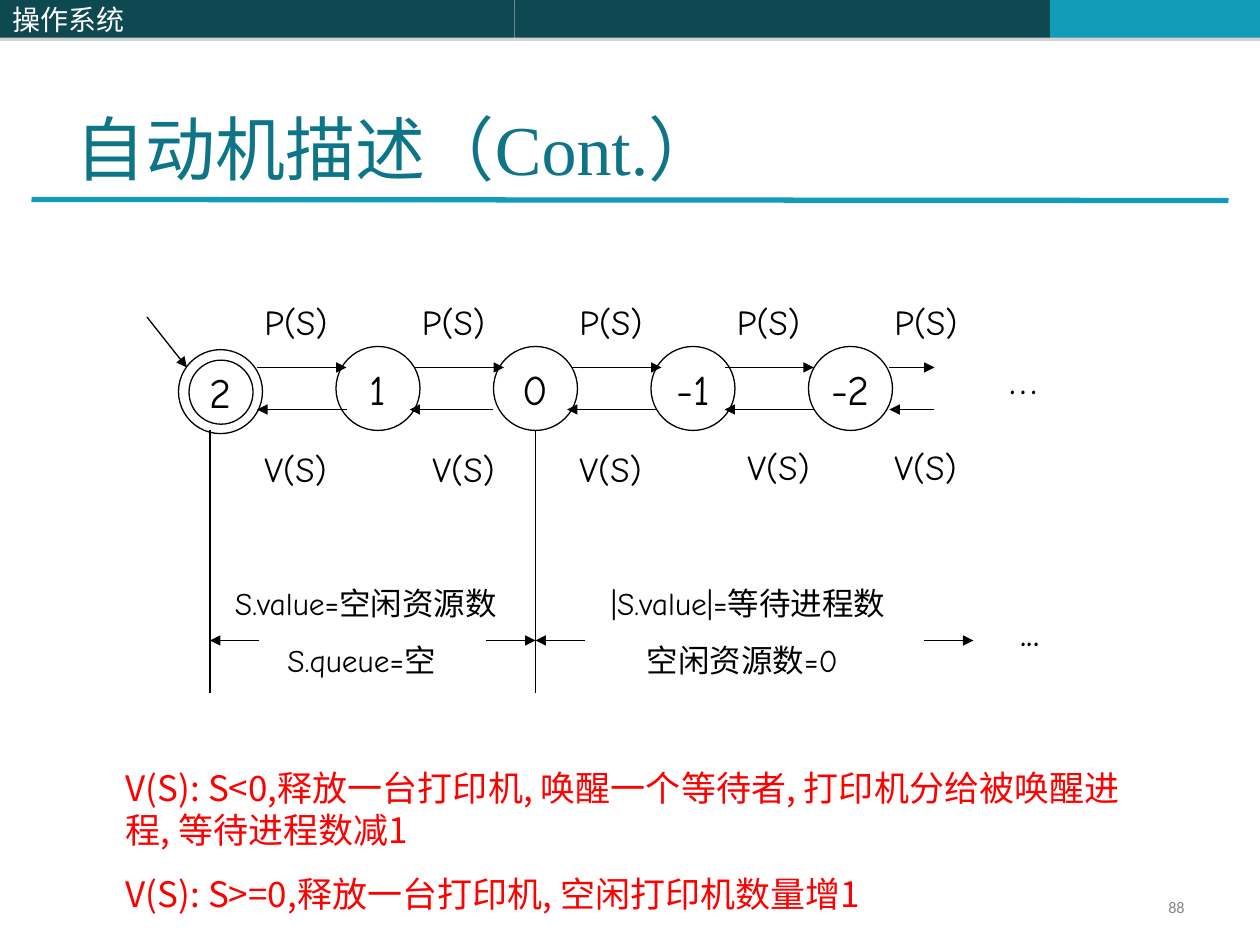
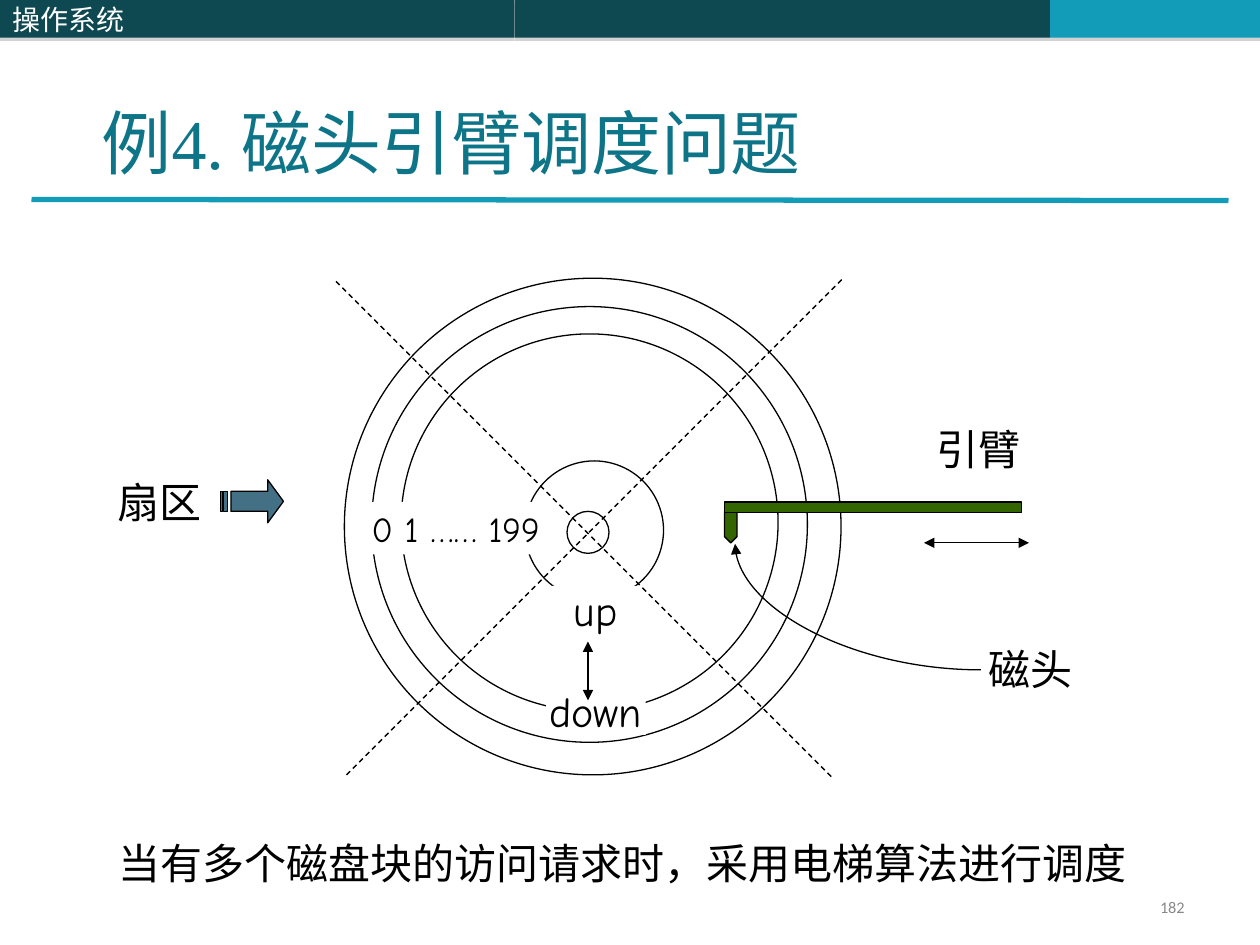
from pptx import Presentation
from pptx import util as u
from pptx.dml.color import RGBColor
from pptx.enum import dml, shapes, text
from pptx.oxml import parse_xml
from pptx.oxml.ns import nsdecls, qn

COLS, ROWS = 120, 90  # grid cells are 1/12 inch square
CELL = u.Inches(10) // COLS
BLACK, WHITE, DARK, TEAL, TITLE = "000000", "FFFFFF", "0E4851", "139CB7", "0E7589"
GREY, RED, GREEN, STEEL = "898989", "FF0000", "336600", "437085"
HAND, CJK = "Comic Neue", "Noto Sans CJK SC"
SHADOW = (f'<a:effectLst {nsdecls("a")}><a:outerShdw dist="22860" dir="5400000" rotWithShape="0">'
          '<a:srgbClr val="808080"><a:alpha val="35000"/></a:srgbClr></a:outerShdw></a:effectLst>')
rgb = RGBColor.from_string
SHAPE, ALIGN, ANCHOR = shapes.MSO_SHAPE, text.PP_ALIGN, text.MSO_ANCHOR


def put(s, box, lines="", kind=None, fill=None, line=None, size=24, font=HAND, color=BLACK,
        align=None, anchor=None, wrap=True, before=0, indent=0):
    """Add a shape, or a text box if kind is None; before and indent apply after line one."""
    area = [round(v * CELL) for v in box]
    if kind is None:
        sp = s.shapes.add_textbox(*area)
    else:
        sp = s.shapes.add_shape(kind, *area)
        sp.shadow.inherit = False
        if fill:
            sp.fill.solid()
            sp.fill.fore_color.rgb = rgb(fill)
        else:
            sp.fill.background()
        if line:
            sp.line.color.rgb = rgb(line)
            sp.line.width = u.Pt(0.75)
        else:
            sp.line.fill.background()
        align = align or ALIGN.CENTER
        anchor = anchor or ANCHOR.MIDDLE
    if not lines:
        return sp
    tf = sp.text_frame
    tf.word_wrap = wrap
    tf.vertical_anchor = anchor or ANCHOR.TOP
    tf.text = lines
    for i, p in enumerate(tf.paragraphs):
        p.alignment = align or ALIGN.LEFT
        if i:
            p.space_before = u.Pt(before)
            p._p.get_or_add_pPr().set("marL", str(round(indent * CELL)))
        for r in p.runs:
            r.font.size = u.Pt(size)
            r.font.name = font
            r.font.color.rgb = rgb(color)
            ea = r._r.get_or_add_rPr().makeelement(qn("a:ea"), {"typeface": CJK})
            r._r.rPr.find(qn("a:latin")).addnext(ea)
    return sp


def connect(s, start, end, heads="", color=BLACK, width=0.75, dash=False,
            kind=shapes.MSO_CONNECTOR.STRAIGHT):
    """Draw a line; heads may hold 'head' (at start) and 'tail' (at end)."""
    c = s.shapes.add_connector(kind, *[round(v * CELL) for v in (*start, *end)])
    c.line.color.rgb = rgb(color)
    c.line.width = u.Pt(width)
    if dash:
        c.line.dash_style = dml.MSO_LINE.DASH
    ln = c.line._get_or_add_ln()
    for name in heads.split():
        ln.append(ln.makeelement(qn(f"a:{name}End"), {"type": "triangle"}))
    c._element.spPr.append(parse_xml(f'<a:effectLst {nsdecls("a")}/>'))
    return c


prs = Presentation()
prs.slide_width, prs.slide_height = COLS * CELL, ROWS * CELL

# Shared header, title and page number
slides = []
for title, title_box, page in (
        ("自动机描述（Cont.）", (6, 3.6, 108, 15), "88"),
        ("例4. 磁头引臂调度问题", (8.5, 3.1, 102.2, 15), "182")):
    s = prs.slides.add_slide(prs.slide_layouts[6])
    for left, right, color, label in ((49, 100, DARK, ""), (100, 120, TEAL, ""),
                                      (0, 49, DARK, "操作系统")):
        band = put(s, (left, 0, right - left, 3.6), label, SHAPE.RECTANGLE, color,
                   size=16, font=CJK, color=WHITE, align=ALIGN.LEFT)
        spPr = band._element.spPr
        spPr.replace(spPr.find(qn("a:effectLst")), parse_xml(SHADOW))
    connect(s, (3, 19), (117, 19.1), color=TEAL, width=3)
    number = put(s, (86, 85, 28, 3.2), page, size=9.3, font="Calibri", color=GREY,
                 align=ALIGN.RIGHT, anchor=ANCHOR.MIDDLE)
    number.text_frame.paragraphs[0].line_spacing = 0.8
    put(s, title_box, title, size=40, font="Times New Roman", color=TITLE, anchor=ANCHOR.BOTTOM)
    slides.append(s)
automaton, disk = slides

# Slide 1: semaphore states, one every 15 columns
STEP = 15
for i, state in enumerate(("2", "1", "0", "-1", "-2")):
    top = 33 if i else 33.3
    put(automaton, (17 + STEP * i, top, 8, 8), state, SHAPE.OVAL, line=BLACK, wrap=False)
put(automaton, (18, 34.3, 6.1, 6.1), kind=SHAPE.OVAL, line=BLACK)

p_arrows = [(24.5 + STEP * i, 33 + STEP * i) for i in range(3)] + [(69, 77.5), (84.7, 89)]
v_arrows = [(33, 24.5), (47, 39), (62.5, 54), (77.5, 69), (89, 84.7)]
v_labels = [(24, 42), (40, 42), (54, 42), (70, 41.8), (84, 41.8)]
for i, (p_arrow, v_arrow, v_label) in enumerate(zip(p_arrows, v_arrows, v_labels)):
    connect(automaton, (p_arrow[0], 35), (p_arrow[1], 35), "tail")
    connect(automaton, (v_arrow[0], 39), (v_arrow[1], 39), "tail")
    put(automaton, (24 + STEP * i, 28, 10, 5.3), "P(S)", size=20)
    put(automaton, (*v_label, 10, 5.3), "V(S)", size=20)
connect(automaton, (14, 30.2), (17.8, 35), "tail")

for x in (20, 51):
    connect(automaton, (x, 41), (x, 66))
for start, end in ((24.7, 20), (46.3, 51), (55.7, 51), (88, 92.7)):
    connect(automaton, (start, 61), (end, 61), "tail")
put(automaton, (21.2, 55, 30.2, 10.3), "S.value=空闲资源数\nS.queue=空", size=18,
    before=11.2, indent=5)
put(automaton, (57, 55, 33.2, 10.3), "|S.value|=等待进程数\n空闲资源数=0", size=18,
    before=11.2, indent=3.4)
put(automaton, (95, 33, 6, 6), "…")
put(automaton, (96, 57, 8, 6), "...")
put(automaton, (10.8, 72.4, 99.2, 15.4),
    "V(S): S<0,释放一台打印机, 唤醒一个等待者, 打印机分给被唤醒进程, 等待进程数减1\n"
    "V(S): S>=0,释放一台打印机, 空闲打印机数量增1",
    size=20, font=CJK, color=RED, before=12.5)

# Slide 2: disk tracks, hub, arm and head
for left, top, size in ((32.8, 26.5, 47.3), (35.4, 29.2, 41.5), (38.2, 31.8, 35.9),
                        (50, 43.9, 13.2)):
    put(disk, (left, top, size, size), kind=SHAPE.OVAL, fill=WHITE, line=BLACK)
put(disk, (34, 47.8, 18.8, 5), "0 1 …… 199", SHAPE.RECTANGLE, WHITE, size=20, wrap=False)
put(disk, (54, 48.7, 4, 4), kind=SHAPE.OVAL, fill=WHITE, line=BLACK)
put(disk, (69, 48.7, 1.2, 3), kind=SHAPE.FLOWCHART_OFFPAGE_CONNECTOR, fill=GREEN, line=BLACK)
put(disk, (69, 47.8, 28.3, 1), kind=SHAPE.RECTANGLE, fill=GREEN, line=BLACK)
put(disk, (52, 55.8, 9.5, 14.2), "up\ndown", SHAPE.RECTANGLE, WHITE, wrap=False, before=29)
connect(disk, (56, 61.1), (56, 66.7), "head tail")
connect(disk, (88, 51.7), (98, 51.7), "head tail")
connect(disk, (32, 26.8), (79.2, 74), dash=True)
connect(disk, (33, 73.8), (80.3, 26.5), dash=True)

# A quarter curve, turned to run from the head down to its label
curve = connect(disk, (87.7, 46.1), (75.7, 69.5), "head", kind=shapes.MSO_CONNECTOR.CURVE)
curve._element.spPr.find(qn("a:prstGeom")).set("prst", "curvedConnector2")
curve._element.spPr.find(qn("a:xfrm")).set("rot", str(270 * 60000))

for box, label in (((93, 60.7, 11, 6), "磁头"), ((88, 39.7, 12, 6), "引臂"),
                   ((10, 44.8, 11, 6), "扇区")):
    put(disk, box, label)

shaft_top, shaft_bottom = 46.8, 48.7
outlines = [[(25.5, 45.7), (25.5, shaft_top), (22, shaft_top), (22, shaft_bottom),
             (25.5, shaft_bottom), (25.5, 49.8), (27, 47.75)]]
for left, right in ((21.3, 21.7), (21, 21.2)):
    outlines.append([(left, shaft_top), (left, shaft_bottom),
                     (right, shaft_bottom), (right, shaft_top)])
outlines = [[(x * CELL, y * CELL) for x, y in outline] for outline in outlines]
builder = disk.shapes.build_freeform(*outlines[0][0])
for i, outline in enumerate(outlines):
    if i:
        builder.move_to(*outline[0])
    builder.add_line_segments(outline[1:], close=True)
arrow = builder.convert_to_shape()
arrow.shadow.inherit = False
arrow.fill.solid()
arrow.fill.fore_color.rgb = rgb(STEEL)
arrow.line.color.rgb = rgb(BLACK)
arrow.line.width = u.Pt(0.75)

put(disk, (10.1, 79.2, 104, 6), "当有多个磁盘块的访问请求时，采用电梯算法进行调度", font=CJK)

prs.save("out.pptx")
